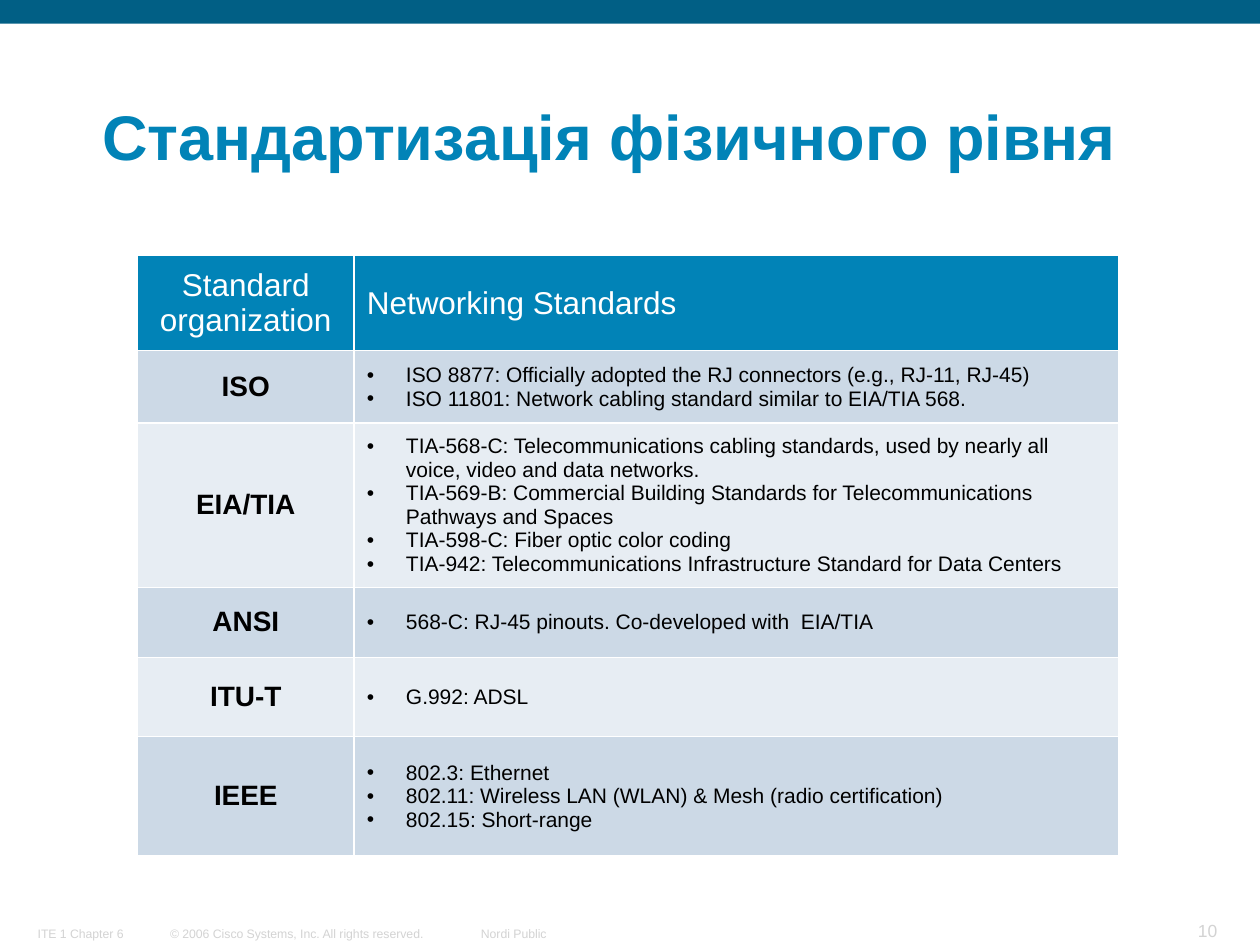
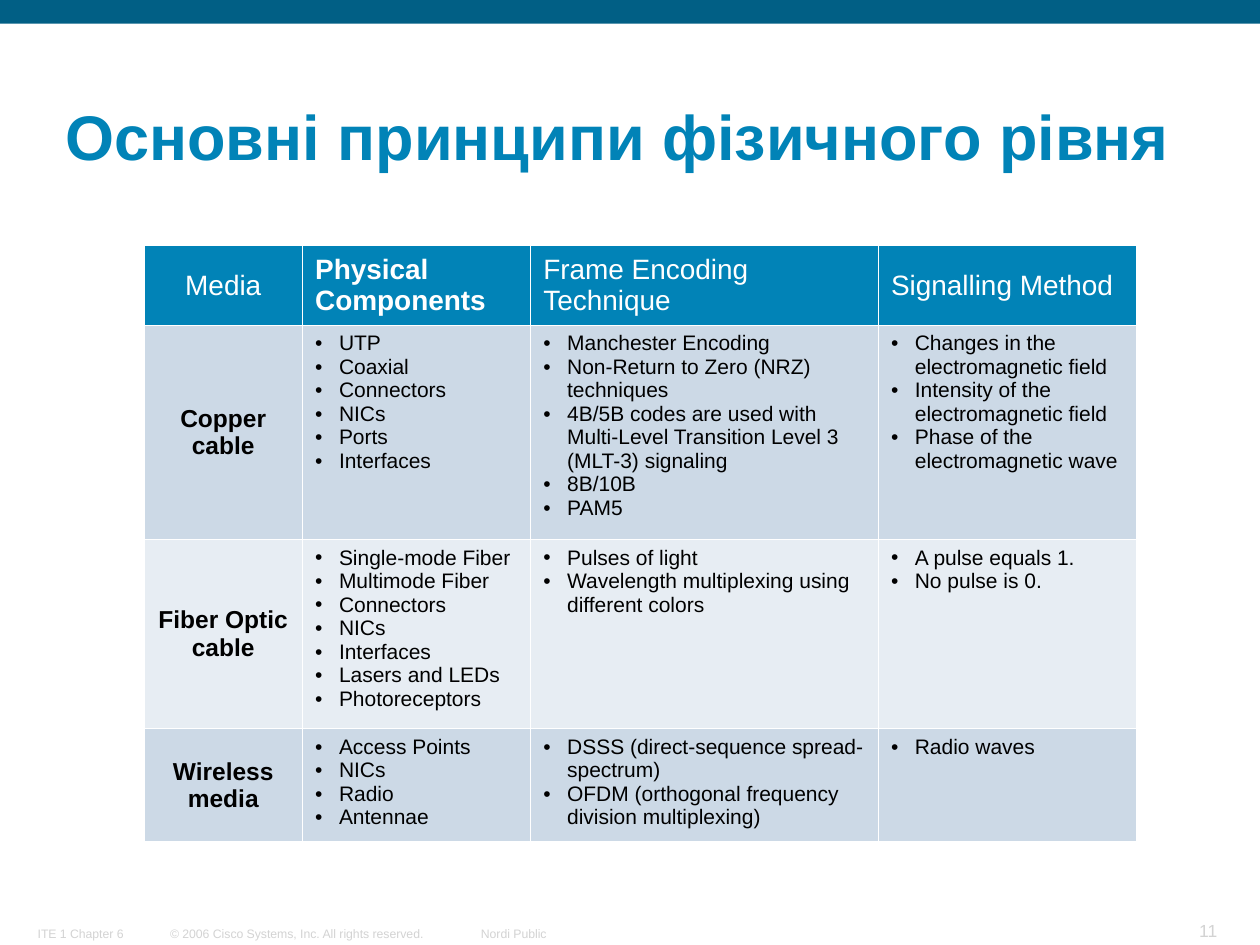
from dataclasses import dataclass

from lxml import etree
from pptx import Presentation
from pptx.dml.color import RGBColor
from pptx.enum.shapes import MSO_SHAPE
from pptx.enum.text import MSO_ANCHOR, MSO_AUTO_SIZE, PP_ALIGN
from pptx.oxml.ns import qn
from pptx.util import Cm, Pt

RECTANGLE = MSO_SHAPE.RECTANGLE
TOP, MIDDLE, BOTTOM = MSO_ANCHOR.TOP, MSO_ANCHOR.MIDDLE, MSO_ANCHOR.BOTTOM
LEFT, CENTER, RIGHT = PP_ALIGN.LEFT, PP_ALIGN.CENTER, PP_ALIGN.RIGHT
FIT_SHAPE = MSO_AUTO_SIZE.SHAPE_TO_FIT_TEXT
BLANK_LAYOUT = 6


@dataclass(frozen=True)
class Theme:
    font: str = "Arial"
    band: str = "015F85"
    accent: str = "0183B7"
    footer: str = "D3D3D3"
    ink: str = "000000"
    paper: str = "FFFFFF"
    stripes: tuple = ("CCD9E6", "E7EDF3")
    title_size: int = 36
    bullet_size: int = 12
    footer_size: int = 7
    number_size: int = 10
    border: int = 1


THEME = Theme()


@dataclass(frozen=True)
class TableStyle:
    header_size: int
    label_size: int
    indent: float
    bullet_anchor: int
    bold_headers: tuple = ()


FOOTERS = [
    ("ITE 1 Chapter 6", 0.53, 2.67, LEFT),
    ("© 2006 Cisco Systems, Inc. All rights reserved.", 3.2, 5.61, LEFT),
    ("Nordi Public", 9.45, 1.8, RIGHT),
]

ORGANIZATIONS = [
    ["Standard organization", "Networking Standards"],
    ["ISO", [
        "ISO 8877: Officially adopted the RJ connectors (e.g., RJ-11, RJ-45)",
        "ISO 11801: Network cabling standard similar to EIA/TIA 568.",
    ]],
    ["EIA/TIA", [
        "TIA-568-C: Telecommunications cabling standards, used by nearly all "
        "voice, video and data networks.",
        "TIA-569-B: Commercial Building Standards for Telecommunications "
        "Pathways and Spaces",
        "TIA-598-C: Fiber optic color coding",
        "TIA-942: Telecommunications Infrastructure Standard for Data Centers",
    ]],
    ["ANSI", ["568-C: RJ-45 pinouts. Co-developed with  EIA/TIA"]],
    ["ITU-T", ["G.992: ADSL"]],
    ["IEEE", [
        "802.3: Ethernet",
        "802.11: Wireless LAN (WLAN) & Mesh (radio certification)",
        "802.15: Short-range",
    ]],
]

MEDIA = [
    ["Media", "Physical Components", "Frame Encoding Technique", "Signalling Method"],
    ["Copper cable",
     ["UTP", "Coaxial", "Connectors", "NICs", "Ports", "Interfaces"],
     ["Manchester Encoding",
      "Non-Return to Zero (NRZ) techniques",
      "4B/5B codes are used with Multi-Level Transition Level 3 (MLT-3) signaling",
      "8B/10B",
      "PAM5"],
     ["Changes in the electromagnetic field",
      "Intensity of the electromagnetic field",
      "Phase of the electromagnetic wave"]],
    ["Fiber Optic cable",
     ["Single-mode Fiber", "Multimode Fiber", "Connectors", "NICs",
      "Interfaces", "Lasers and LEDs", "Photoreceptors"],
     ["Pulses of light", "Wavelength multiplexing using different colors"],
     ["A pulse equals 1.", "No pulse is 0."]],
    ["Wireless media",
     ["Access Points", "NICs", "Radio", "Antennae"],
     ["DSSS (direct-sequence spread-spectrum)",
      "OFDM (orthogonal frequency division multiplexing)"],
     ["Radio waves"]],
]


def rgb(color):
    return RGBColor.from_string(color)


def format_paragraph(paragraph, size, color, bold=False, align=LEFT):
    paragraph.alignment = align
    for run in paragraph.runs:
        run.font.name = THEME.font
        run.font.size = Pt(size)
        run.font.bold = bold
        run.font.color.rgb = rgb(color)


def add_bullet(paragraph, indent):
    properties = paragraph._p.get_or_add_pPr()
    properties.set("marL", str(Cm(indent)))
    properties.set("indent", str(-Cm(indent)))
    etree.SubElement(properties, qn("a:buFont"), typeface=THEME.font)
    etree.SubElement(properties, qn("a:buChar"), char="•")


def add_label(slide, text, box, size, color, bold=False, align=LEFT, wrap=False):
    label = slide.shapes.add_textbox(*map(Cm, box))
    frame = label.text_frame
    frame.word_wrap = wrap
    if not wrap:
        frame.auto_size = FIT_SHAPE
    frame.vertical_anchor = BOTTOM
    frame.margin_left = frame.margin_right = Cm(0.23)
    frame.margin_top = frame.margin_bottom = Cm(0.1)
    frame.text = text
    format_paragraph(frame.paragraphs[0], size, color, bold, align)
    return frame.paragraphs[0]


def add_band(slide):
    band = slide.shapes.add_shape(RECTANGLE, 0, 0, Cm(25.4), Cm(0.48))
    band.shadow.inherit = False
    band.fill.solid()
    band.fill.fore_color.rgb = rgb(THEME.band)
    band.line.fill.background()


def add_frame(deck, number, title, left, width):
    slide = deck.slides.add_slide(deck.slide_layouts[BLANK_LAYOUT])
    add_band(slide)
    for text, footer_left, footer_width, align in FOOTERS:
        add_label(slide, text, (footer_left, 18.54, footer_width, 0.53),
                  THEME.footer_size, THEME.footer, align=align)
    add_label(slide, str(number), (23.88, 18.42, 0.89, 0.66),
              THEME.number_size, THEME.footer, align=RIGHT)
    heading = add_label(slide, title, (left, 1.27, width, 2.34),
                        THEME.title_size, THEME.accent, bold=True, wrap=True)
    heading.line_spacing = 0.9
    return slide


def paint_cell(cell, color):
    properties = cell._tc.get_or_add_tcPr()
    for side in ("a:lnL", "a:lnR", "a:lnT", "a:lnB"):
        border = etree.SubElement(properties, qn(side), w=str(Pt(THEME.border)))
        fill = etree.SubElement(border, qn("a:solidFill"))
        etree.SubElement(fill, qn("a:srgbClr"), val=THEME.paper)
    cell.fill.solid()
    cell.fill.fore_color.rgb = rgb(color)


def fill_header(cell, text, style, column):
    paint_cell(cell, THEME.accent)
    cell.vertical_anchor = MIDDLE
    cell.text_frame.text = text
    format_paragraph(cell.text_frame.paragraphs[0], style.header_size, THEME.paper,
                     column in style.bold_headers, LEFT if column else CENTER)


def fill_label(cell, text, style):
    cell.vertical_anchor = MIDDLE
    cell.text_frame.text = text
    format_paragraph(cell.text_frame.paragraphs[0], style.label_size,
                     THEME.ink, bold=True, align=CENTER)


def fill_bullets(cell, items, style):
    cell.vertical_anchor = style.bullet_anchor
    cell.text_frame.text = "\n".join(items)
    for paragraph in cell.text_frame.paragraphs:
        add_bullet(paragraph, style.indent)
        format_paragraph(paragraph, THEME.bullet_size, THEME.ink)


def add_standards_table(slide, content, left, top, widths, heights, style):
    table = slide.shapes.add_table(
        len(heights), len(widths), Cm(left), Cm(top),
        Cm(sum(widths)), Cm(sum(heights))).table
    table.horz_banding = False
    for column, width in zip(table.columns, widths):
        column.width = Cm(width)
    for row, height in zip(table.rows, heights):
        row.height = Cm(height)
    for column, text in enumerate(content[0]):
        fill_header(table.cell(0, column), text, style, column)
    for row, (label, *lists) in enumerate(content[1:], 1):
        stripe = THEME.stripes[(row - 1) % 2]
        for column in range(len(widths)):
            paint_cell(table.cell(row, column), stripe)
        fill_label(table.cell(row, 0), label, style)
        for column, items in enumerate(lists, 1):
            fill_bullets(table.cell(row, column), items, style)


def main():
    deck = Presentation()
    deck.slide_width, deck.slide_height = Cm(25.4), Cm(19.05)

    standards = add_frame(deck, 10, "Стандартизація фізичного рівня", 1.83, 22.63)
    add_standards_table(standards, ORGANIZATIONS, 2.77, 5.15, (4.37, 15.42),
                        (1.92, 1.46, 3.31, 1.41, 1.6, 2.4),
                        TableStyle(18, 16, 0.79, MIDDLE))

    principles = add_frame(deck, 11, "Основні принципи фізичного рівня", 1.09, 23.34)
    add_standards_table(principles, MEDIA, 2.9, 4.95, (3.2, 4.6, 7.01, 5.21),
                        (1.6, 4.32, 3.81, 2.28),
                        TableStyle(16, 14, 0.48, TOP, bold_headers=(1,)))

    deck.save("out.pptx")


if __name__ == "__main__":
    main()
